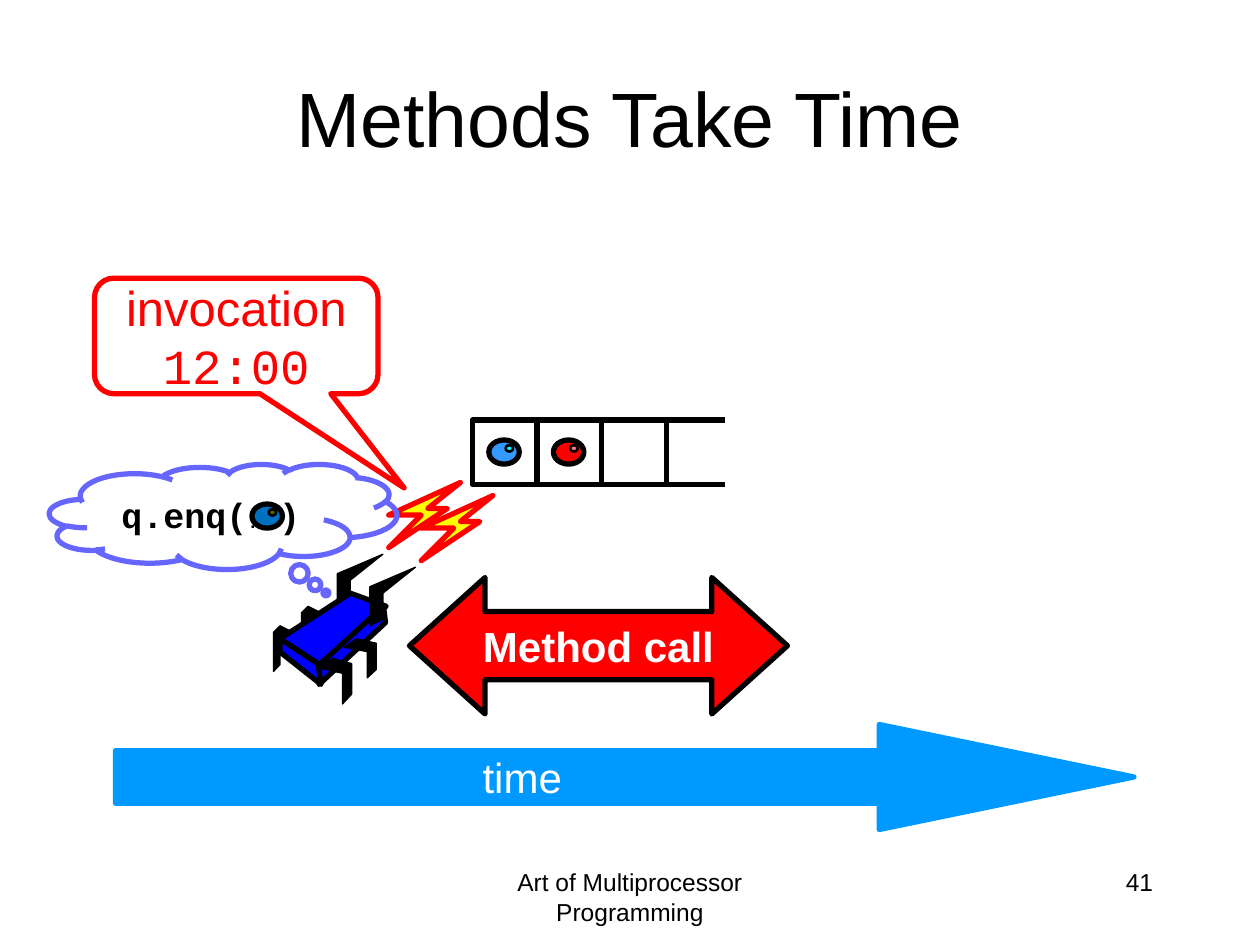
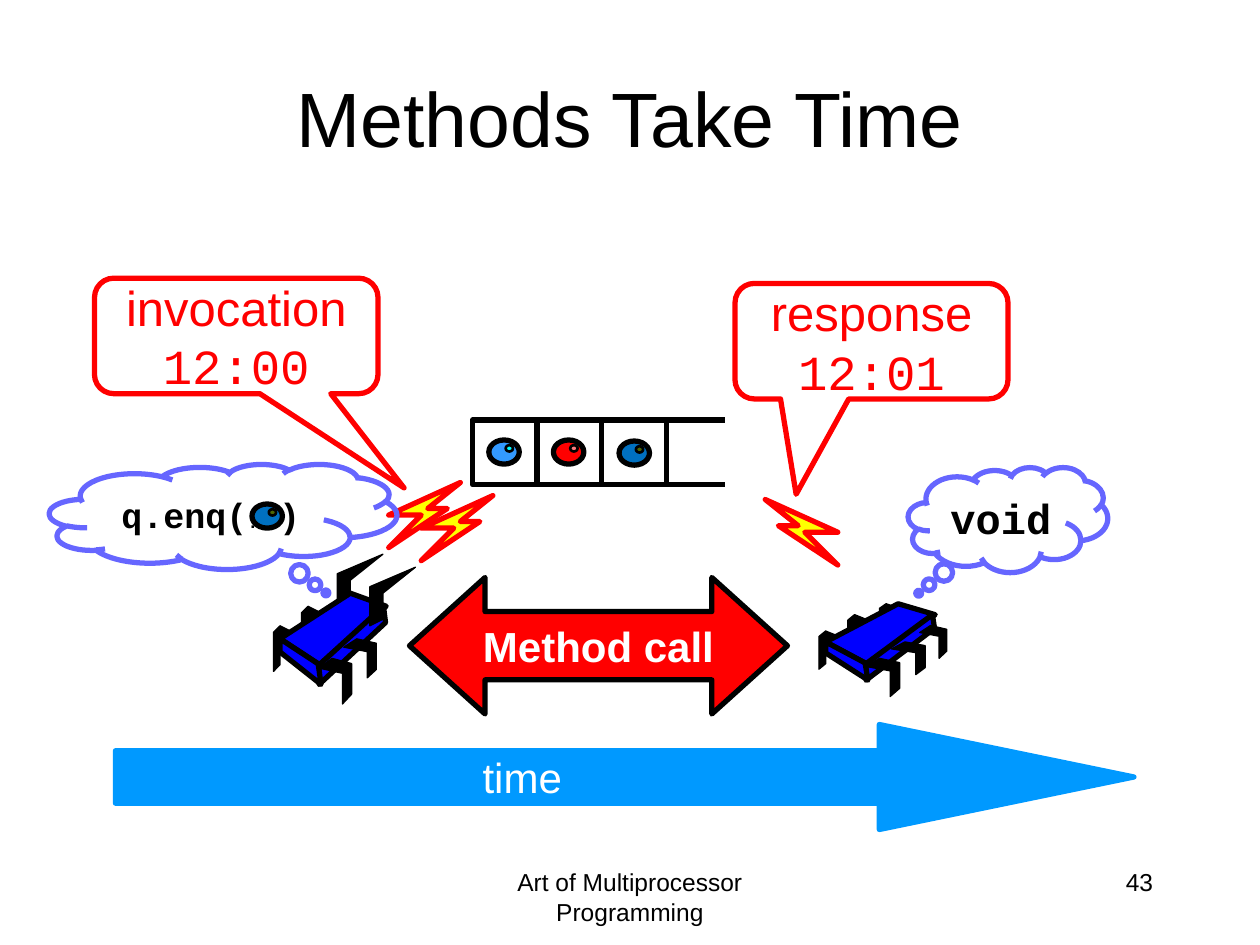
from pptx import Presentation
from pptx.dml.color import RGBColor
from pptx.enum.shapes import MSO_CONNECTOR, MSO_SHAPE
from pptx.enum.text import MSO_ANCHOR, PP_ALIGN
from pptx.oxml.ns import qn
from pptx.util import Inches, Pt
from lxml import etree

COLOURS = {
    "black": "000000", "white": "FFFFFF", "red": "FF0000", "yellow": "FFFF00",
    "body": "0000FF", "time": "0099FF", "cloud": "6666FF",
    "sky": "3399FF", "cyan": "00FFFF", "pink": "FF7C80",
    "navy": "0070C0", "olive": "4C6600",
}
SANS, MONO = "Arial", "Courier New"

prs = Presentation()
prs.slide_width, prs.slide_height = Inches(10), Inches(7.5)
U = prs.slide_width / 120  # the grid has 120 columns and 90 rows


def paint(sp, fill, line, width=3):
    sp.shadow.inherit = False
    if fill:
        sp.fill.solid()
        sp.fill.fore_color.rgb = RGBColor.from_string(COLOURS[fill])
    else:
        sp.fill.background()
    sp.line.color.rgb = RGBColor.from_string(COLOURS[line])
    sp.line.width = Pt(width)


def write(sp, runs, colour, align=PP_ALIGN.CENTER, bold=False,
          anchor=MSO_ANCHOR.MIDDLE, wrap=True):
    """Fill one paragraph with runs of (text, size, font)."""
    tf = sp.text_frame
    tf.word_wrap, tf.vertical_anchor = wrap, anchor
    p = tf.paragraphs[0]
    p.alignment = align
    p.font.bold = bold
    p.font.color.rgb = RGBColor.from_string(COLOURS[colour])
    for text, size, font in runs:
        r = p.add_run()
        r.text, r.font.size, r.font.name = text, Pt(size), font
        r.font.bold = bold
        r.font.color.rgb = RGBColor.from_string(COLOURS[colour])


# Outlines: own width, own height, corners, fill, line, line width
OUTLINES = {
    "back leg": (3, 7, [(3, 1), (1, 0), (0, 1), (0, 7), (1, 6), (1, 2), (3, 3)],
                 "black", "black", 0.75),
    "front leg": (5, 7, [(2, 0), (0, 1.5), (3.6, 2.3), (3.6, 7), (5, 5.5), (5, 0.8)],
                  "black", "black", 0.75),
    "antenna": (7, 9, [(0, 9), (2, 8), (2, 4), (7, 0), (0, 3)],
                "black", "black", 0.75),
    "bolt": (11, 10, [(0, 10), (5, 5), (0, 5), (11, 0), (6, 4), (9, 4)],
             "yellow", "red", 3),
    "top": (16, 11, [(10.6, 0), (0, 7), (6, 11), (16, 2)], "body", "black", 3),
    "side": (10, 12, [(9.7, 0), (0, 9), (0, 12), (10, 2.5)], "body", "black", 3),
    "end": (10, 10, [(0, 0), (0, 2.9), (10, 10), (9.3, 5.5)], "body", "black", 3),
}

# Spider parts: outline, left, top, width, height in spider units
BACK_LEGS = [("back leg", 0, 0, 3, 7), ("back leg", 4.3, -3, 3, 7)]
BODY = [("top", 1, -5, 16.3, 11), ("side", 7, -3, 10.2, 12),
        ("end", 1, 2, 6.3, 7),
        ("front leg", 7, 5, 5, 7), ("front leg", 10.8, 2, 5, 6)]
# Spiders: origin, unit size, parts; a negative width mirrors the outline
CALLER = (26.05, 59.6, 0.62, 0.62,
          [("bolt", 17.7, -22, 11, 10), ("antenna", 9.8, -11, 7, 9)]
          + BACK_LEGS + BODY
          + [("antenna", 14.8, -9, 7, 9), ("bolt", 22.7, -20, 11, 10)])
RETURNER = (78, 60.1, 0.64, 0.52,
            BACK_LEGS + [("back leg", 9, -5, 3, 6)] + BODY
            + [("front leg", 15, -1, 4, 6), ("bolt", 2.8, -24.1, -10.8, 12)])

# Queue: three cells and an open end
CELL, QUEUE_X, QUEUE_Y = 6.15, 45, 40
EYE_X, EYE_Y = QUEUE_X + 1.56, QUEUE_Y + 1.9
QUEUED = [(EYE_X, EYE_Y, "sky", "cyan"), (EYE_X + CELL, EYE_Y, "red", "pink")]
ENQUEUED = (EYE_X + 2 * CELL + 0.1, EYE_Y + 0.1, "navy", "olive")
ARGUMENT = (24, 48, "navy", "olive")

# Shapes: kind, place, adjustments, fill, line, runs, text colour, bold, wrap
CALL_SHAPES = [
    (MSO_SHAPE.LEFT_RIGHT_ARROW, (39, 55, 36, 13), (0.5, 0.554), "red", "black",
     [("Method call", 24, SANS)], "white", True, False),
    (MSO_SHAPE.ROUNDED_RECTANGULAR_CALLOUT, (9, 26.5, 27, 11), (0.592, 1.316, 0.167),
     None, "red", [("invocation ", 28, SANS), ("12:00", 28, MONO)], "red", False, True),
    (MSO_SHAPE.RIGHT_ARROW, (11, 69, 97, 10), (0.5, 2.425), "time", "time",
     [], "white", False, True),
    (MSO_SHAPE.CLOUD_CALLOUT, (4.7, 44.2, 33.1, 10), (0.296, 0.727), None, "cloud",
     [("q.enq(", 20, MONO), ("...", 10, MONO), (")", 20, MONO)], "black", True, True),
]
RETURN_SHAPES = [
    (MSO_SHAPE.CLOUD_CALLOUT, (86.5, 44.5, 19, 10), (-0.447, 0.7), None, "cloud",
     [("void", 24, MONO)], "black", True, True),
    (MSO_SHAPE.ROUNDED_RECTANGULAR_CALLOUT, (70, 27, 26, 11), (-0.276, 1.326, 0.167),
     None, "red", [("response ", 28, SANS), ("12:01", 28, MONO)], "red", False, True),
]

SLIDES = [
    ("41", QUEUED + [ARGUMENT], [CALLER], CALL_SHAPES),
    ("43", QUEUED + [ENQUEUED, ARGUMENT], [CALLER, RETURNER],
     CALL_SHAPES + RETURN_SHAPES),
]

for number, eyes, spiders, shapes in SLIDES:
    s = prs.slides.add_slide(prs.slide_layouts[5])

    # Title
    title = s.shapes.title
    title.left, title.top, title.width, title.height = (
        int(v * U) for v in (6, 3.6, 108, 15))
    write(title, [("Methods Take Time", 44, SANS)], "black")

    # Queue cells and open end
    for i in range(3):
        sp = s.shapes.add_shape(MSO_SHAPE.RECTANGLE, int((QUEUE_X + i * CELL) * U),
                                int(QUEUE_Y * U), int(CELL * U), int(CELL * U))
        paint(sp, None, "black")
    for y in (QUEUE_Y, QUEUE_Y + CELL):
        rail = s.shapes.add_connector(MSO_CONNECTOR.STRAIGHT, int(62.9 * U),
                                      int(y * U), int(69 * U), int(y * U))
        rail.line.color.rgb = RGBColor.from_string(COLOURS["black"])
        rail.line.width = Pt(3)
        etree.SubElement(rail._element.spPr, qn("a:effectLst"))

    # Spiders and lightning bolts
    for x0, y0, ux, uy, parts in spiders:
        for name, left, top, width, height in parts:
            own_w, own_h, corners, fill, line, weight = OUTLINES[name]
            points = [(int((x0 + (left + x * width / own_w) * ux) * U),
                       int((y0 + (top + y * height / own_h) * uy) * U))
                      for x, y in corners]
            outline = s.shapes.build_freeform(*points[0], scale=1.0)
            outline.add_line_segments(points[1:], close=True)
            paint(outline.convert_to_shape(), fill, line, weight)

    # Queue items, each an ellipse with a glint
    for x, y, fill, glint in eyes:
        for dx, dy, w, h, colour, weight in [(0, 0, 2.9, 2.3, fill, 3),
                                             (1.6, 0.5, 0.7, 0.6, glint, 1.5)]:
            sp = s.shapes.add_shape(MSO_SHAPE.OVAL, int((x + dx) * U),
                                    int((y + dy) * U), int(w * U), int(h * U))
            paint(sp, colour, "black", weight)

    # Arrows, callouts and clouds
    for kind, place, adjustments, fill, line, runs, colour, bold, wrap in shapes:
        sp = s.shapes.add_shape(kind, *(int(v * U) for v in place))
        for i, value in enumerate(adjustments):
            sp.adjustments[i] = value
        paint(sp, fill, line)
        if runs:
            write(sp, runs, colour, bold=bold, wrap=wrap)

    # Time label, footer and slide number
    for text, place, size, colour, align, wrap in [
        ("time", (44.6, 71, 10.1, 6), 24, "white", PP_ALIGN.RIGHT, False),
        ("Art of Multiprocessor Programming", (41, 82, 38, 6), 14, "black",
         PP_ALIGN.CENTER, True),
        (number, (86, 82, 25, 6), 14, "black", PP_ALIGN.RIGHT, True),
    ]:
        box = s.shapes.add_textbox(*(int(v * U) for v in place))
        write(box, [(text, size, SANS)], colour, align,
              anchor=MSO_ANCHOR.TOP, wrap=wrap)

prs.save("out.pptx")
